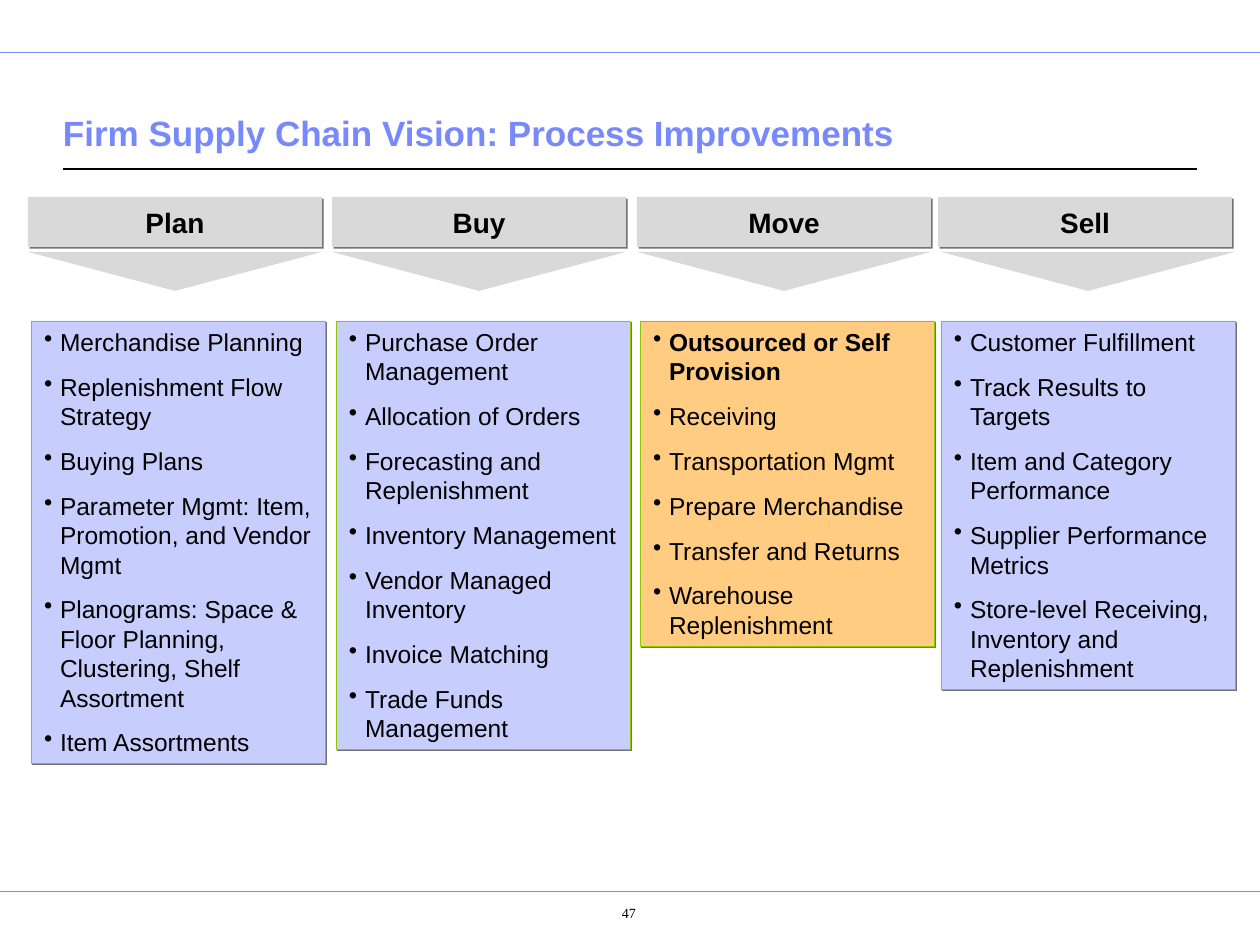
from lxml.etree import SubElement as Sub
from pptx import Presentation
from pptx.dml.color import RGBColor as RGB
from pptx.enum.shapes import MSO_CONNECTOR as Link, MSO_SHAPE as Kind
from pptx.enum.text import MSO_ANCHOR as Anchor, PP_ALIGN as Align
from pptx.oxml.ns import qn
from pptx.util import Emu, Pt

BLACK = RGB(0, 0, 0)
BLUE = RGB(0x78, 0x89, 0xFB)
PALE = RGB(0xC7, 0xCD, 0xFD)
AMBER = RGB(0xFF, 0xCC, 0x81)
GREEN = RGB(0x8C, 0xC8, 0x00)
GREY = RGB(0xD9, 0xD9, 0xD9)
SHADE = RGB(0x72, 0x72, 0x72)

WIDE = 294
COLS = [
    ("Plan", 28, 28, 31, 442, PALE, False, [
        "Merchandise Planning",
        "Replenishment Flow Strategy",
        "Buying Plans",
        "Parameter Mgmt: Item, Promotion, and Vendor Mgmt",
        "Planograms: Space & Floor Planning, Clustering, Shelf Assortment",
        "Item Assortments"]),
    ("Buy", 332, 332, 336, 428, PALE, False, [
        "Purchase Order Management",
        "Allocation of Orders",
        "Forecasting and Replenishment",
        "Inventory Management",
        "Vendor Managed Inventory",
        "Invoice Matching",
        "Trade Funds Management"]),
    ("Move", 637, 637, 640, 325, AMBER, True, [
        "Outsourced or Self Provision",
        "Receiving",
        "Transportation Mgmt",
        "Prepare Merchandise",
        "Transfer and Returns",
        "Warehouse Replenishment"]),
    ("Sell", 938, 941, 941, 368, PALE, False, [
        "Customer Fulfillment",
        "Track Results to Targets",
        "Item and Category Performance",
        "Supplier Performance Metrics",
        "Store-level Receiving, Inventory and Replenishment"]),
]


def px(num):
    return Emu(round(num * 914400 / 126))


class Deck:
    def __init__(self, slide, face="Arial"):
        self.slide = slide
        self.face = face

    def rule(self, x1, x2, y, color, width):
        line = self.slide.shapes.add_connector(
            Link.STRAIGHT, px(x1), px(y), px(x2), px(y))
        line.line.color.rgb = color
        line.line.width = Pt(width)
        Sub(line._element.spPr, qn("a:effectLst"))

    def run(self, para, text, size, color=BLACK, bold=False, face=None):
        run = para.add_run()
        run.text = text
        font = run.font
        font.name = face or self.face
        font.size = Pt(size)
        font.bold = bold
        font.color.rgb = color

    def frame(self, shape, anchor, pads, wrap=True):
        frame = shape.text_frame
        frame.word_wrap = wrap
        frame.vertical_anchor = anchor
        (frame.margin_left, frame.margin_top,
         frame.margin_right, frame.margin_bottom) = map(px, pads)
        return frame

    def label(self, box, text, size, color, pads, anchor=Anchor.TOP,
              align=Align.LEFT, bold=False, face=None, indent=0):
        shape = self.slide.shapes.add_textbox(*map(px, box))
        para = self.frame(shape, anchor, pads).paragraphs[0]
        para.alignment = align
        if indent:
            para._p.get_or_add_pPr().set("marL", str(px(indent)))
        self.run(para, text, size, color, bold, face)

    def shape(self, kind, box, fill, edge=None, shade=True):
        shape = self.slide.shapes.add_shape(kind, *map(px, box))
        shape.fill.solid()
        shape.fill.fore_color.rgb = fill
        if edge is None:
            shape.line.fill.background()
        else:
            shape.line.color.rgb = edge
            shape.line.width = Pt(0.25)
        shape.shadow.inherit = False
        if shade:
            drop = Sub(shape._element.spPr.find(qn("a:effectLst")),
                       qn("a:outerShdw"), dist=str(Pt(1.4)),
                       dir="2700000", algn="ctr", rotWithShape="0")
            Sub(drop, qn("a:srgbClr"), val=str(SHADE))
        return shape

    def head(self, x, text):
        shape = self.shape(Kind.RECTANGLE, (x, 197, WIDE, 50), GREY)
        frame = self.frame(shape, Anchor.MIDDLE, (13, 6, 13, 6), False)
        para = frame.paragraphs[0]
        para.alignment = Align.CENTER
        self.run(para, text, 16, bold=True)

    def arrow(self, x):
        shape = self.shape(Kind.ISOSCELES_TRIANGLE, (x, 252, WIDE, 39),
                           GREY, shade=False)
        shape._element.spPr.find(qn("a:xfrm")).set("flipV", "1")

    def items(self, x, tall, fill, strong, lines):
        shape = self.shape(Kind.RECTANGLE, (x, 321, WIDE, tall), fill, GREEN)
        frame = self.frame(shape, Anchor.TOP, (13, 6, 13, 6))
        for num, text in enumerate(lines):
            para = frame.add_paragraph() if num else frame.paragraphs[0]
            props = para._p.get_or_add_pPr()
            props.set("marL", str(px(16)))
            props.set("indent", str(px(-16)))
            tint = Sub(props, qn("a:buClr"))
            Sub(tint, qn("a:srgbClr"), val=str(BLACK))
            Sub(props, qn("a:buChar"), char="•")
            para.alignment = Align.LEFT
            if num:
                para.space_before = Pt(8.8)
            self.run(para, text, 14, bold=strong and num == 0)


def main():
    show = Presentation()
    show.slide_width, show.slide_height = px(1260), px(945)
    deck = Deck(show.slides.add_slide(show.slide_layouts[6]))
    for y in (52, 891):
        deck.rule(0, 1260, y, BLUE, 0.5)
    deck.rule(63, 1197, 169, BLACK, 0.75)
    deck.label((63, 80, 1134, 79),
               "Firm Supply Chain Vision: Process Improvements", 20, BLUE,
               (0, 6, 0, 6), Anchor.BOTTOM, bold=True)
    for name, top, tip, left, tall, fill, strong, lines in COLS:
        deck.head(top, name)
        deck.arrow(tip)
        deck.items(left, tall, fill, strong, lines)
    deck.label((538, 896, 145, 44), "47", 8, BLACK, (20, 9, 13, 6),
               align=Align.CENTER, face="Times New Roman", indent=30)
    show.save("out.pptx")


if __name__ == "__main__":
    main()
